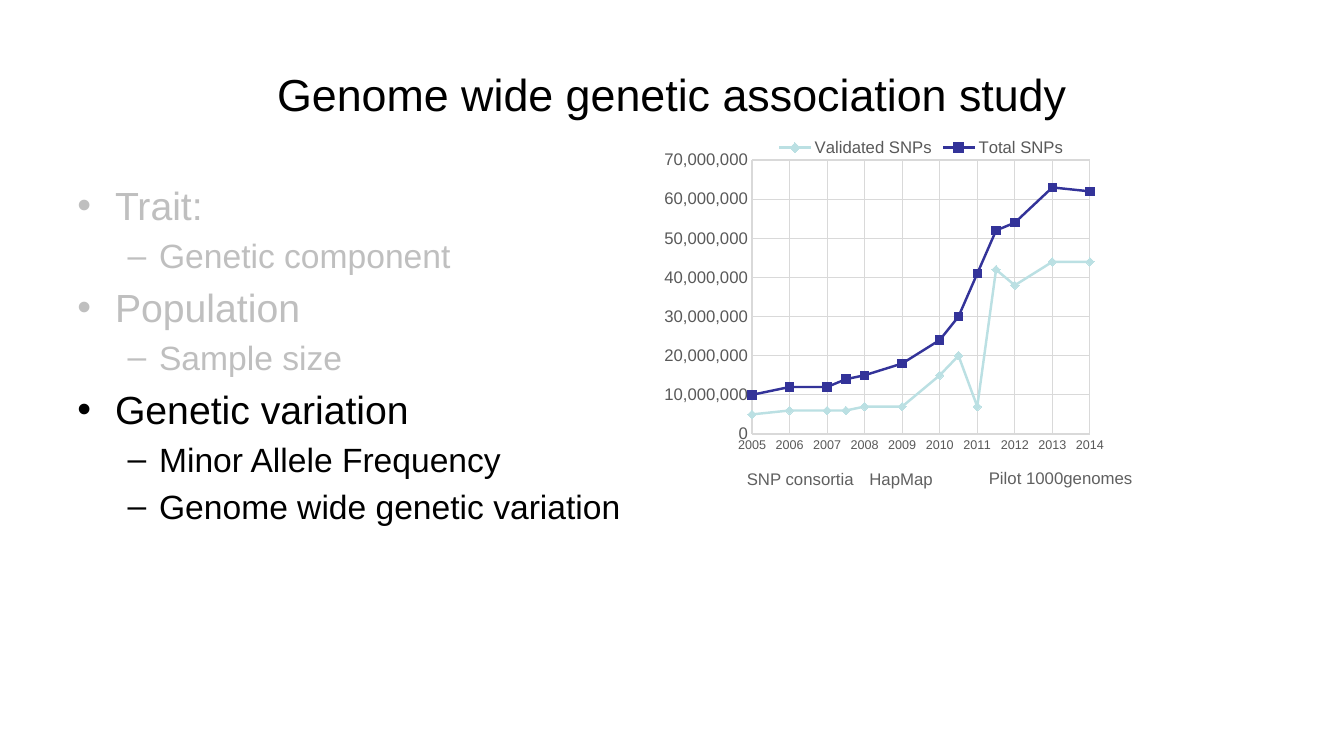
from dataclasses import dataclass

from lxml.etree import SubElement
from pptx import Presentation
from pptx.chart.data import XyChartData
from pptx.dml.color import RGBColor
from pptx.enum.chart import XL_CHART_TYPE as ChartType
from pptx.enum.chart import XL_LEGEND_POSITION as LegendPosition
from pptx.enum.chart import XL_MARKER_STYLE as Marker
from pptx.enum.chart import XL_TICK_MARK as TickMark
from pptx.enum.text import MSO_ANCHOR, MSO_AUTO_SIZE, PP_ALIGN
from pptx.oxml.ns import qn
from pptx.util import Cm, Pt

FONT = "Arial"
COLORS = {
    "black": "000000",
    "faded": "BFBFBF",
    "axis": "595959",
    "caption": "606060",
    "grid": "D9D9D9",
    "validated": "BBE0E3",
    "total": "333399",
}


@dataclass(frozen=True)
class Level:
    size: float
    indent: float
    hanging: float
    space: float
    bullet: str


@dataclass(frozen=True)
class Point:
    text: str
    level: int
    color: str


@dataclass(frozen=True)
class Caption:
    text: str
    left: float
    top: float
    width: float


@dataclass(frozen=True)
class SnpSeries:
    name: str
    millions: tuple[int, ...]
    color: str
    marker: Marker


LEVELS = (
    Level(28, 0.95, 0.95, 5.6, "•"),
    Level(24, 2.06, 0.79, 4.8, "–"),
)
POINTS = (
    Point("Trait:", 0, "faded"),
    Point("Genetic component", 1, "faded"),
    Point("Population", 0, "faded"),
    Point("Sample size", 1, "faded"),
    Point("Genetic variation", 0, "black"),
    Point("Minor Allele Frequency", 1, "black"),
    Point("Genome wide genetic variation", 1, "black"),
)
CAPTIONS = (
    Caption("HapMap", 21.66, 11.68, 2.11),
    Caption("Pilot 1000genomes", 24.67, 11.66, 4.17),
    Caption("SNP consortia", 18.57, 11.68, 3.23),
)
YEARS = (2014, 2013, 2012, 2011.5, 2011, 2010.5, 2010,
         2009, 2008, 2007.5, 2007, 2006, 2005)
SNP_SERIES = (
    SnpSeries("Validated SNPs", (44, 44, 38, 42, 7, 20, 15, 7, 7, 6, 6, 6, 5),
              "validated", Marker.DIAMOND),
    SnpSeries("Total SNPs", (62, 63, 54, 52, 41, 30, 24, 18, 15, 14, 12, 12, 10),
              "total", Marker.SQUARE),
)
PLOT_LAYOUT = {
    "layoutTarget": "inner", "xMode": "edge", "yMode": "edge",
    "x": "0.168", "y": "0.098", "w": "0.663", "h": "0.821",
}


def rgb(name: str) -> RGBColor:
    return RGBColor.from_string(COLORS[name])


def apply_format(target, values: dict) -> None:
    for attribute, value in values.items():
        setattr(target, attribute, value)


def style_font(font, size: float, color: str) -> None:
    apply_format(font, {"name": FONT, "size": Pt(size), "bold": False})
    font.color.rgb = rgb(color)


def style_line(line, color: str, width: float) -> None:
    line.color.rgb = rgb(color)
    line.width = Pt(width)


def add_title(slide) -> None:
    frame = slide.shapes.add_textbox(Cm(1.7), Cm(0.76), Cm(30.48), Cm(3.18)).text_frame
    apply_format(frame, {"word_wrap": True, "vertical_anchor": MSO_ANCHOR.MIDDLE})
    heading = frame.paragraphs[0]
    heading.text = "Genome wide genetic association study"
    heading.alignment = PP_ALIGN.CENTER
    style_font(heading.font, 32, "black")


def add_outline(slide) -> None:
    frame = slide.shapes.add_textbox(Cm(1.7), Cm(4.45), Cm(30.48), Cm(12.57)).text_frame
    frame.word_wrap = True
    for index, point in enumerate(POINTS):
        level = LEVELS[point.level]
        paragraph = frame.add_paragraph() if index else frame.paragraphs[0]
        paragraph.text = point.text
        paragraph.level = point.level
        if index:
            paragraph.space_before = Pt(level.space)
        properties = paragraph._p.get_or_add_pPr()
        properties.set("marL", str(Cm(level.indent)))
        properties.set("indent", str(-Cm(level.hanging)))
        SubElement(properties, qn("a:buFont"), typeface=FONT)
        SubElement(properties, qn("a:buChar"), char=level.bullet)
        style_font(paragraph.font, level.size, point.color)


def set_plot_layout(chart) -> None:
    """Fix the inner plot area as fractions of the chart frame."""
    plot_area = chart._chartSpace.chart.plotArea
    layout = plot_area.find(qn("c:layout"))
    if layout is None:
        layout = SubElement(plot_area, qn("c:layout"))
        plot_area.insert(0, layout)
    manual = SubElement(layout, qn("c:manualLayout"))
    for tag, value in PLOT_LAYOUT.items():
        SubElement(manual, qn(f"c:{tag}"), val=value)


def style_axis(axis, size: float, number_format: str, scale: dict) -> None:
    apply_format(axis, {
        "has_major_gridlines": True,
        "major_tick_mark": TickMark.NONE,
        "minor_tick_mark": TickMark.NONE,
        "has_title": False,
        **scale,
    })
    apply_format(axis.tick_labels, {
        "number_format": number_format, "number_format_is_linked": False,
    })
    style_font(axis.tick_labels.font, size, "axis")
    for line in (axis.format.line, axis.major_gridlines.format.line):
        style_line(line, "grid", 0.75)


def add_snp_chart(slide) -> None:
    data = XyChartData()
    for snps in SNP_SERIES:
        series = data.add_series(snps.name)
        for year, count in zip(YEARS, snps.millions):
            series.add_data_point(year, count * 1_000_000)
    chart = slide.shapes.add_chart(ChartType.XY_SCATTER_LINES, Cm(16.74), Cm(3.21),
                                   Cm(12.9), Cm(8.41), data).chart
    apply_format(chart, {"has_title": False, "has_legend": True})
    style_font(chart.font, 10, "black")
    apply_format(chart.legend, {
        "position": LegendPosition.TOP, "include_in_layout": False,
    })
    style_font(chart.legend.font, 12, "axis")
    set_plot_layout(chart)
    style_axis(chart.category_axis, 9, "General",
               {"minimum_scale": 2005, "maximum_scale": 2014, "major_unit": 1})
    style_axis(chart.value_axis, 12, "#,##0",
               {"minimum_scale": 0, "maximum_scale": 70_000_000, "major_unit": 10_000_000})
    chart.plots[0].vary_by_categories = False
    for series, snps in zip(chart.plots[0].series, SNP_SERIES):
        series.smooth = False
        style_line(series.format.line, snps.color, 1.75)
        apply_format(series.marker, {"style": snps.marker, "size": 6})
        series.marker.format.fill.solid()
        series.marker.format.fill.fore_color.rgb = rgb(snps.color)
        style_line(series.marker.format.line, snps.color, 0.75)


def add_caption(slide, caption: Caption) -> None:
    frame = slide.shapes.add_textbox(Cm(caption.left), Cm(caption.top),
                                     Cm(caption.width), Cm(0.77)).text_frame
    apply_format(frame, {"word_wrap": False, "auto_size": MSO_AUTO_SIZE.SHAPE_TO_FIT_TEXT})
    frame.text = caption.text
    style_font(frame.paragraphs[0].font, 12, "caption")


def main() -> None:
    deck = Presentation()
    apply_format(deck, {"slide_width": Cm(33.87), "slide_height": Cm(19.05)})
    slide = deck.slides.add_slide(deck.slide_layouts[6])
    add_title(slide)
    add_outline(slide)
    add_snp_chart(slide)
    for caption in CAPTIONS:
        add_caption(slide, caption)
    deck.save("out.pptx")


if __name__ == "__main__":
    main()
